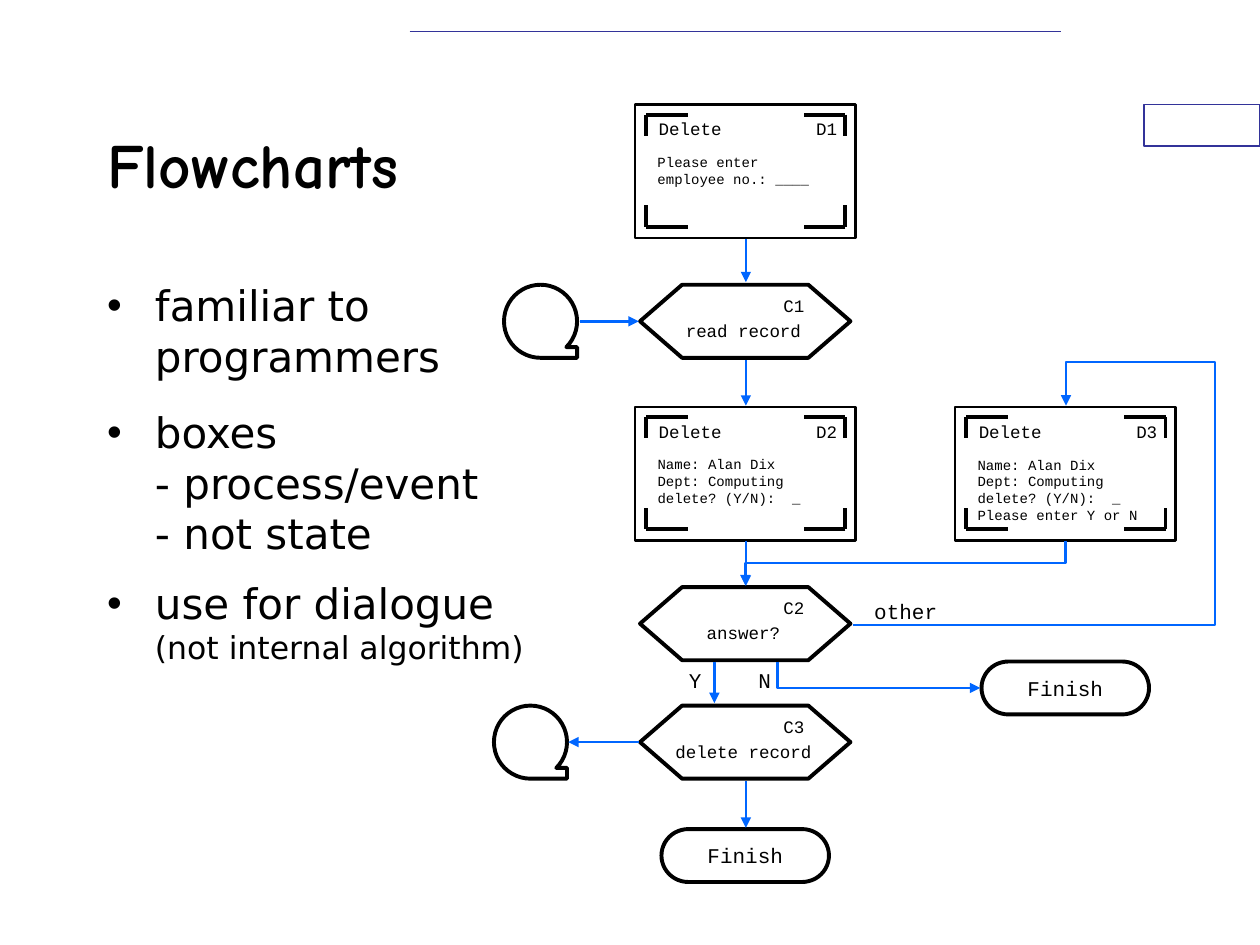
import lxml.etree
import pptx
import pptx.dml.color
import pptx.enum.shapes
import pptx.enum.text
import pptx.oxml.ns
import pptx.util

Inches = pptx.util.Inches
Pt = pptx.util.Pt
SHAPE = pptx.enum.shapes.MSO_SHAPE
CONNECTOR = pptx.enum.shapes.MSO_CONNECTOR
ALIGN = pptx.enum.text.PP_ALIGN
ANCHOR = pptx.enum.text.MSO_ANCHOR
FIT = pptx.enum.text.MSO_AUTO_SIZE

COLORS = {"ink": "000000", "paper": "FFFFFF", "flow": "0066FF", "trim": "333399"}
TITLE_FONT, BODY_FONT, CODE_FONT = "Comic Neue", "DejaVu Sans", "Courier New"
HEAVY = 2.24


def color(name):
    """Return the named colour."""
    return pptx.dml.color.RGBColor.from_string(COLORS[name])


def child(parent, tag, **attributes):
    """Append a drawing element to a parent and return it."""
    element = lxml.etree.SubElement(parent, pptx.oxml.ns.qn(tag))
    for key, value in attributes.items():
        element.set(key, str(value))
    return element


class Flowchart:
    """Style and drawing methods for the current slide."""

    def __init__(self, page):
        """Keep the slide to draw on."""
        self.page = page
        self.shapes = page.shapes

    def span(self, para, words, size, font=CODE_FONT, bold=False):
        """Add one formatted run."""
        run = para.add_run()
        run.text = words
        run.font.size, run.font.name, run.font.bold = Pt(size), font, bold
        run.font.color.rgb = color("ink")

    def place(self, box, left, top, width, height):
        """Move and size a placeholder."""
        box.left, box.top = Inches(left), Inches(top)
        box.width, box.height = Inches(width), Inches(height)
        box.text_frame.auto_size = FIT.NONE

    def title(self, words):
        """Fill the title placeholder."""
        box = self.shapes.title
        self.place(box, 0.75, 0.67, 7.5, 1.25)
        box.text_frame.vertical_anchor = ANCHOR.MIDDLE
        para = box.text_frame.paragraphs[0]
        para.alignment = ALIGN.LEFT
        self.span(para, words, 36, TITLE_FONT, True)

    def bullets(self, items):
        """Fill the body placeholder; an item is (space before, [(line, size)])."""
        box = self.page.placeholders[1]
        self.place(box, 0.75, 2.17, 8.5, 4.5)
        frame = box.text_frame
        for index, (space, lines) in enumerate(items):
            para = frame.add_paragraph() if index else frame.paragraphs[0]
            para.space_before = Pt(space)
            properties = para._p.get_or_add_pPr()
            properties.set("marL", str(Inches(0.38)))
            properties.set("indent", str(Inches(-0.38)))
            child(child(properties, "a:buClr"), "a:srgbClr", val=COLORS["ink"])
            child(properties, "a:buChar", char="\u2022")
            for number, (words, size) in enumerate(lines):
                if number:
                    para.add_line_break()
                self.span(para, words, size, BODY_FONT)

    def text(self, left, top, lines, size, center=False, tab=None, width=None):
        """Add monospaced lines with room to spare; left is the middle when centred."""
        if width is None:
            width = max(map(len, lines)) * size * 0.6 / 72 + 0.3
        if center:
            left -= width / 2
        height = len(lines) * size * 1.2 / 72 + 0.1
        box = self.shapes.add_textbox(Inches(left), Inches(top), Inches(width), Inches(height))
        frame = box.text_frame
        frame.word_wrap = True
        frame.auto_size = FIT.NONE
        for index, words in enumerate(lines):
            para = frame.add_paragraph() if index else frame.paragraphs[0]
            para.alignment = ALIGN.CENTER if center else ALIGN.LEFT
            if tab:
                stops = child(para._p.get_or_add_pPr(), "a:tabLst")
                child(stops, "a:tab", pos=Inches(tab), algn="l")
            self.span(para, words, size)

    def shape(self, kind, left, top, width, height, weight=HEAVY, line="ink", words=None):
        """Add an outlined shape, with a centred caption if given."""
        box = self.shapes.add_shape(kind, Inches(left), Inches(top), Inches(width), Inches(height))
        box.shadow.inherit = False
        box.fill.solid()
        box.fill.fore_color.rgb = color("paper")
        box.line.color.rgb = color(line)
        box.line.width = Pt(weight)
        if words:
            frame = box.text_frame
            frame.word_wrap = False
            frame.vertical_anchor = ANCHOR.MIDDLE
            frame.paragraphs[0].alignment = ALIGN.CENTER
            self.span(frame.paragraphs[0], words, 12)

    def line(self, start, end, weight=HEAVY, name="ink", arrow=False, kind=CONNECTOR.STRAIGHT):
        """Add a connector between two points."""
        link = self.shapes.add_connector(kind, *map(Inches, start + end))
        link.line.color.rgb = color(name)
        link.line.width = Pt(weight)
        if arrow:
            child(link.line._get_or_add_ln(), "a:tailEnd", type="triangle")
        child(link._element.spPr, "a:effectLst")
        return link

    def arrow(self, start, end):
        """Add a straight flow arrow."""
        self.line(start, end, 1.5, "flow", True)

    def bend(self, preset, left, top, width, height, turn=0, flip=None, adjust=()):
        """Add a bent flow arrow in an unrotated frame."""
        link = self.line((left, top), (left + width, top + height), 1.5, "flow", True, CONNECTOR.ELBOW)
        properties = link._element.spPr
        frame = properties.find(pptx.oxml.ns.qn("a:xfrm"))
        frame.set("rot", str(turn * 60000))
        if flip:
            frame.set(flip, "1")
        geometry = properties.find(pptx.oxml.ns.qn("a:prstGeom"))
        geometry.set("prst", preset)
        guides = geometry.find(pptx.oxml.ns.qn("a:avLst"))
        for index, value in enumerate(adjust, 1):
            child(guides, "a:gd", name=f"adj{index}", fmla=f"val {round(value * 100000)}")

    def screen(self, left, top, tag, lines):
        """Draw a dialogue screen with corner brackets."""
        self.shape(SHAPE.RECTANGLE, left, top, 1.75, 1.06, 1.5)
        self.text(left + 0.09, top + 0.06, ["Delete\t" + tag], 10, tab=1.25, width=1.7)
        for x, across in ((left + 0.09, 0.33), (left + 1.67, -0.33)):
            for y, down in ((top + 0.08, 0.17), (top + 0.97, -0.17)):
                self.line((x, y), (x, y + down))
                self.line((x, y), (x + across, y))
        self.text(left + 0.08, top + 0.34, lines, 8)

    def decision(self, top, tag, words):
        """Draw a hexagon process step."""
        self.shape(SHAPE.FLOWCHART_PREPARATION, 5.08, top, 1.67, 0.58)
        self.text(5.9, top + 0.23, [words], 10, center=True)
        self.text(6.3, top + 0.03, [tag], 10, center=True)


def main():
    """Build and save the slide."""
    deck = pptx.Presentation()
    deck.slide_width, deck.slide_height = Inches(10), Inches(7.5)
    chart = Flowchart(deck.slides.add_slide(deck.slide_layouts[1]))

    chart.shape(SHAPE.RECTANGLE, 9.08, 0.83, 0.92, 0.33, 0.74, "trim")
    chart.line((3.25, 0.25), (8.42, 0.25), 1, "trim")
    chart.title("Flowcharts")
    chart.bullets([
        (15, [("familiar to", 24), ("programmers", 24)]),
        (15, [("boxes", 24), ("- process/event", 24), ("- not state", 24)]),
        (11.2, [("use for dialogue", 24), ("(not internal algorithm)", 18)]),
    ])

    record = ["Name: Alan Dix", "Dept: Computing", "delete? (Y/N):  _"]
    chart.screen(5.04, 0.83, "D1", ["Please enter", "employee no.: ____"])
    chart.screen(7.58, 3.23, "D3", record + ["Please enter Y or N"])
    chart.screen(5.04, 3.23, "D2", record)
    for top, tag, words in ((2.26, "C1", "read record"), (4.66, "C2", "answer?"),
                            (5.6, "C3", "delete record")):
        chart.decision(top, tag, words)
    for left, top in ((5.25, 6.58), (7.79, 5.25)):
        chart.shape(SHAPE.FLOWCHART_TERMINATOR, left, top, 1.33, 0.42, words="Finish")
    for left, top in ((4, 2.26), (3.92, 5.6)):
        chart.shape(SHAPE.FLOWCHART_SEQUENTIAL_ACCESS_STORAGE, left, top, 0.58, 0.58)

    chart.arrow((4.6, 2.55), (5.07, 2.55))
    chart.arrow((5.07, 5.89), (4.51, 5.89))
    for x, top, bottom in ((5.92, 1.9, 2.24), (5.92, 2.86, 3.22), (5.92, 4.29, 4.65),
                           (5.92, 6.2, 6.57), (5.67, 5.25, 5.58)):
        chart.arrow((x, top), (x, bottom))
    chart.bend("bentConnector3", 7.01, 3.2, 0.35, 2.54, turn=90, adjust=(0.5,))
    chart.bend("bentConnector2", 6.87, 4.55, 0.21, 1.61, turn=270, flip="flipH")
    chart.bend("bentConnector4", 6.77, 3.22, 1.69, 1.74, flip="flipV", adjust=(1.7, 1.2))
    for left, top, words in ((6.84, 4.7, "other"), (5.92, 5.25, "N"), (5.37, 5.25, "Y")):
        chart.text(left, top, [words], 12)

    deck.save("out.pptx")


main()
